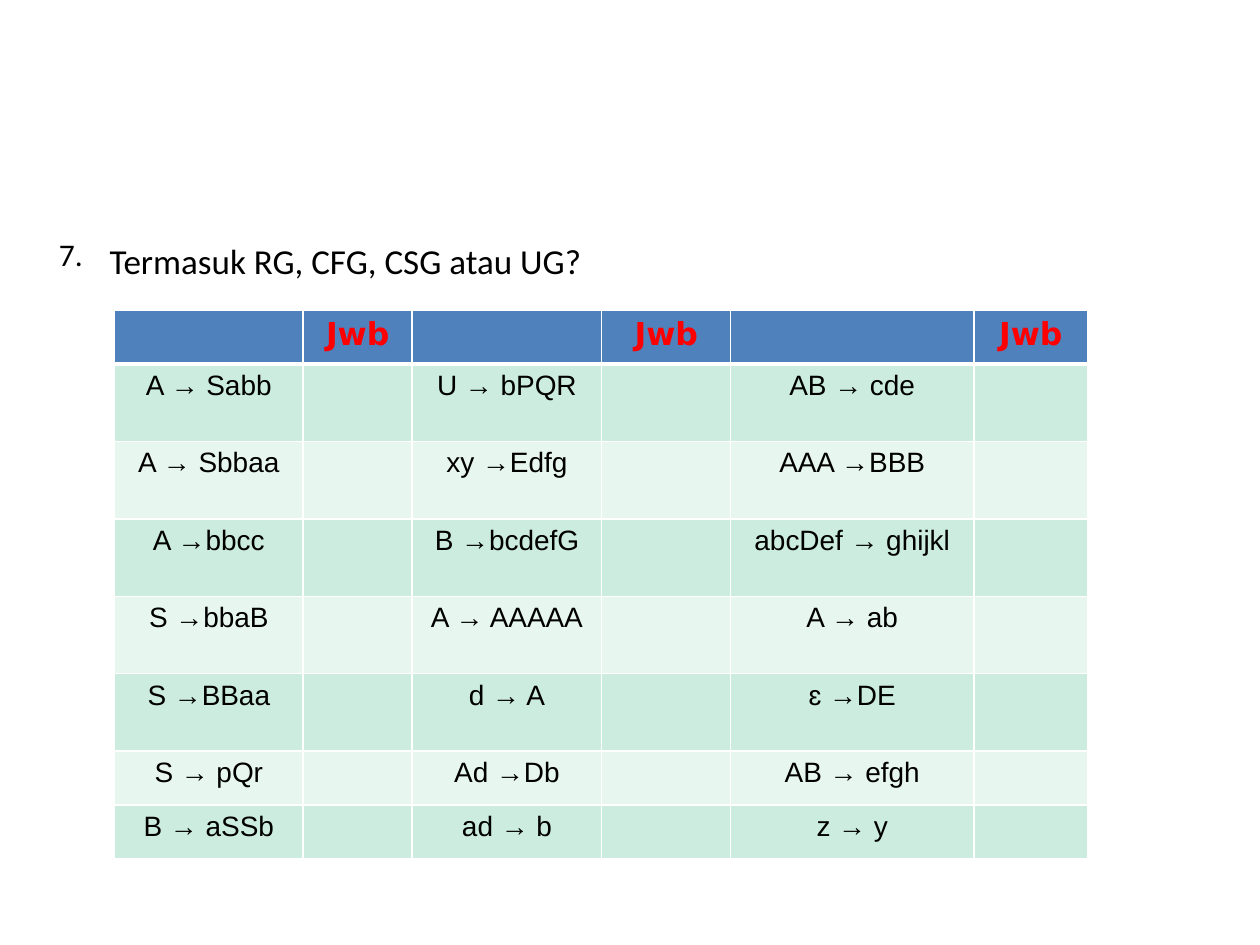
from lxml.etree import SubElement
from pptx import Presentation
from pptx.dml.color import RGBColor
from pptx.enum.text import MSO_AUTO_SIZE as AutoSize, PP_ALIGN as Align
from pptx.oxml.ns import qn
from pptx.util import Cm, Pt

BLACK = RGBColor(0x00, 0x00, 0x00)
RED = RGBColor(0xFF, 0x00, 0x00)
WHITE = RGBColor(0xFF, 0xFF, 0xFF)
BLUE = RGBColor(0x4F, 0x81, 0xBD)
MINT = RGBColor(0xCB, 0xEC, 0xDE)
PALE_MINT = RGBColor(0xE7, 0xF6, 0xEF)

# Content
NUMBER = "7."
QUESTION = "Termasuk RG, CFG, CSG atau UG?"
ANSWER_HEADING = "Jwb"
RULES = [
    ("A → Sabb", "U → bPQR", "AB → cde"),
    ("A → Sbbaa", "xy →Edfg", "AAA →BBB"),
    ("A →bbcc", "B →bcdefG", "abcDef → ghijkl"),
    ("S →bbaB", "A → AAAAA", "A → ab"),
    ("S →BBaa", "d → A", "ɛ →DE"),
    ("S → pQr", "Ad →Db", "AB → efgh"),
    ("B → aSSb", "ad → b", "z → y"),
]

# Sizes in centimetres
COLUMN_WIDTHS = [3.8, 2.2, 3.82, 2.6, 4.9, 2.3]
LOW_ROW, HIGH_ROW = 1.09, 1.56
ROW_HEIGHTS = [LOW_ROW] + [HIGH_ROW] * 5 + [LOW_ROW] * 2


def write(frame, text, size, font, color=BLACK, bold=False, align=Align.LEFT):
    para = frame.paragraphs[0]
    para.alignment = align
    span = para.add_run()
    span.text = text
    span.font.size = Pt(size)
    span.font.name = font
    span.font.bold = bold
    span.font.color.rgb = color


def add_text(page, text, left, top, width, height, **style):
    box = page.shapes.add_textbox(Cm(left), Cm(top), Cm(width), Cm(height))
    box.text_frame.word_wrap = False
    box.text_frame.auto_size = AutoSize.SHAPE_TO_FIT_TEXT
    write(box.text_frame, text, **style)


def set_borders(cell, top=1, bottom=1):
    properties = cell._tc.get_or_add_tcPr()
    for side, width in (("L", 1), ("R", 1), ("T", top), ("B", bottom)):
        line = SubElement(properties, qn(f"a:ln{side}"), w=str(Pt(width)))
        fill = SubElement(line, qn("a:solidFill"))
        SubElement(fill, qn("a:srgbClr"), val=str(WHITE))


def fill_cell(cell, row, column):
    set_borders(cell, top=3 if row == 1 else 1, bottom=3 if row == 0 else 1)
    cell.fill.solid()
    cell.fill.fore_color.rgb = BLUE if row == 0 else (PALE_MINT, MINT)[row % 2]
    # Rules stand in the even columns, answers in the odd ones
    if row == 0 and column % 2 == 1:
        write(cell.text_frame, ANSWER_HEADING, 18, "DejaVu Sans", color=RED,
              bold=True, align=Align.CENTER)
    elif row > 0 and column % 2 == 0:
        write(cell.text_frame, RULES[row - 1][column // 2], 16, "Arial",
              align=Align.CENTER)


def add_rules_table(page, left, top):
    table = page.shapes.add_table(
        len(ROW_HEIGHTS), len(COLUMN_WIDTHS), Cm(left), Cm(top),
        Cm(sum(COLUMN_WIDTHS)), Cm(sum(ROW_HEIGHTS))).table
    for column, width in zip(table.columns, COLUMN_WIDTHS):
        column.width = Cm(width)
    for row, height in zip(table.rows, ROW_HEIGHTS):
        row.height = Cm(height)
    for row in range(len(ROW_HEIGHTS)):
        for column in range(len(COLUMN_WIDTHS)):
            fill_cell(table.cell(row, column), row, column)


def main():
    deck = Presentation()
    deck.slide_width, deck.slide_height = Cm(25.4), Cm(19.05)
    page = deck.slides.add_slide(deck.slide_layouts[6])

    # Grammar rules with answer columns
    add_rules_table(page, 2.31, 6.25)

    # Question
    add_text(page, NUMBER, 0.94, 4.62, 1, 1.02, size=18, font="Calibri")
    add_text(page, QUESTION, 1.96, 4.7, 10.1, 1.12, size=20, font="Calibri")

    deck.save("out.pptx")


if __name__ == "__main__":
    main()
